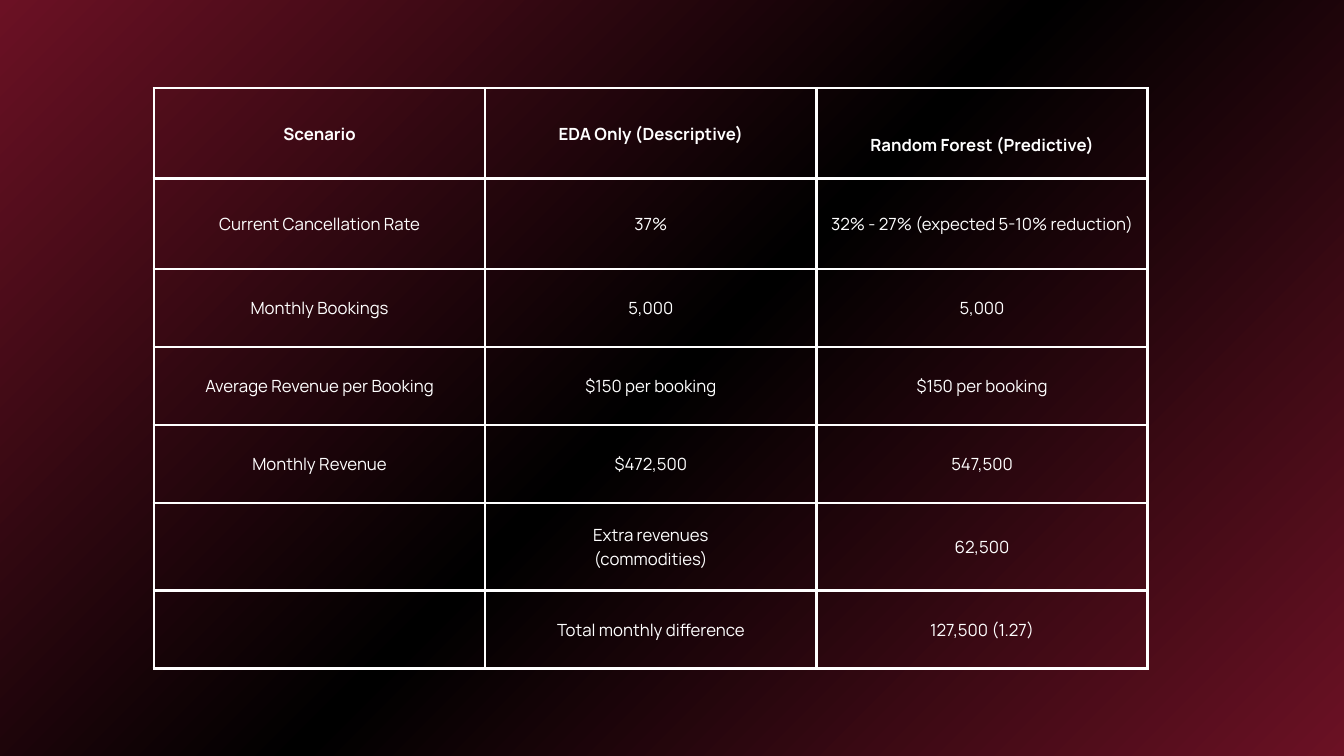
from copy import deepcopy

from lxml import etree
from pptx import Presentation
from pptx.dml.color import RGBColor
from pptx.enum import text
from pptx.oxml import ns
from pptx.util import Cm, Pt

SCENARIOS = [
    ("Scenario", "EDA Only (Descriptive)", "Random Forest (Predictive)"),
    ("Current Cancellation Rate", "37%", "32% - 27% (expected 5-10% reduction)"),
    ("Monthly Bookings", "5,000", "5,000"),
    ("Average Revenue per Booking", "$150 per booking", "$150 per booking"),
    ("Monthly Revenue", "$472,500", "547,500"),
    ("", "Extra revenues\n(commodities)", "62,500"),
    ("", "Total monthly difference", "127,500 (1.27)"),
]
ROW_HEIGHTS = [3.42, 3.42, 2.95, 2.95, 2.95, 3.3, 2.95]
COLUMN_WIDTH = 12.52
LEFT, TOP = 5.82, 3.33
CELL_MARGIN = Cm(0.53)
LINE_SPACING = Pt(25.2)

FONT = "Manrope"
WHITE = RGBColor(0xFF, 0xFF, 0xFF)
BLACK = RGBColor(0, 0, 0)
WINE = RGBColor(0x6B, 0x11, 0x24)


def paint_background(slide):
    """Diagonal gradient, wine to black to wine."""
    fill = slide.background.fill
    fill.gradient()
    fill.gradient_angle = 315
    stop_list = slide.background._cSld.find(".//" + ns.qn("a:gsLst"))
    stop_list.append(deepcopy(stop_list[-1]))
    for stop, color, position in zip(fill.gradient_stops, (WINE, BLACK, WINE), (0, 0.5, 1)):
        stop.color.rgb = color
        stop.position = position


def draw_borders(cell, color=WHITE, width=Pt(3)):
    properties = cell._tc.get_or_add_tcPr()
    for index, side in enumerate(("lnL", "lnR", "lnT", "lnB")):
        line = etree.Element(ns.qn(f"a:{side}"), w=str(int(width)))
        solid = etree.SubElement(line, ns.qn("a:solidFill"))
        etree.SubElement(solid, ns.qn("a:srgbClr"), val=str(color))
        properties.insert(index, line)


def write(cell, content, size=18, bold=False, color=WHITE, extra_top=0):
    cell.vertical_anchor = text.MSO_ANCHOR.MIDDLE
    cell.margin_left = cell.margin_right = cell.margin_bottom = CELL_MARGIN
    cell.margin_top = CELL_MARGIN + extra_top
    cell.text = content
    for paragraph in cell.text_frame.paragraphs:
        paragraph.alignment = text.PP_ALIGN.CENTER
        paragraph.line_spacing = LINE_SPACING
        for run in paragraph.runs:
            run.font.name = FONT
            run.font.size = Pt(size)
            run.font.bold = bold
            run.font.color.rgb = color


def add_scenario_table(slide):
    columns = len(SCENARIOS[0])
    table = slide.shapes.add_table(
        len(SCENARIOS), columns, Cm(LEFT), Cm(TOP),
        Cm(COLUMN_WIDTH * columns), Cm(sum(ROW_HEIGHTS))).table
    table.first_row = table.horz_banding = False
    for column in table.columns:
        column.width = Cm(COLUMN_WIDTH)
    for r, (scenario, height) in enumerate(zip(SCENARIOS, ROW_HEIGHTS)):
        table.rows[r].height = Cm(height)
        for c, content in enumerate(scenario):
            cell = table.cell(r, c)
            cell.fill.background()
            draw_borders(cell)
            # The last heading sits half a line lower than the others.
            lowered = r == 0 and c == columns - 1
            write(cell, content, bold=r == 0, extra_top=LINE_SPACING if lowered else 0)


def main():
    deck = Presentation()
    deck.slide_width, deck.slide_height = Cm(50.8), Cm(28.58)
    slide = deck.slides.add_slide(deck.slide_layouts[6])
    paint_background(slide)
    add_scenario_table(slide)
    deck.save("out.pptx")


if __name__ == "__main__":
    main()
